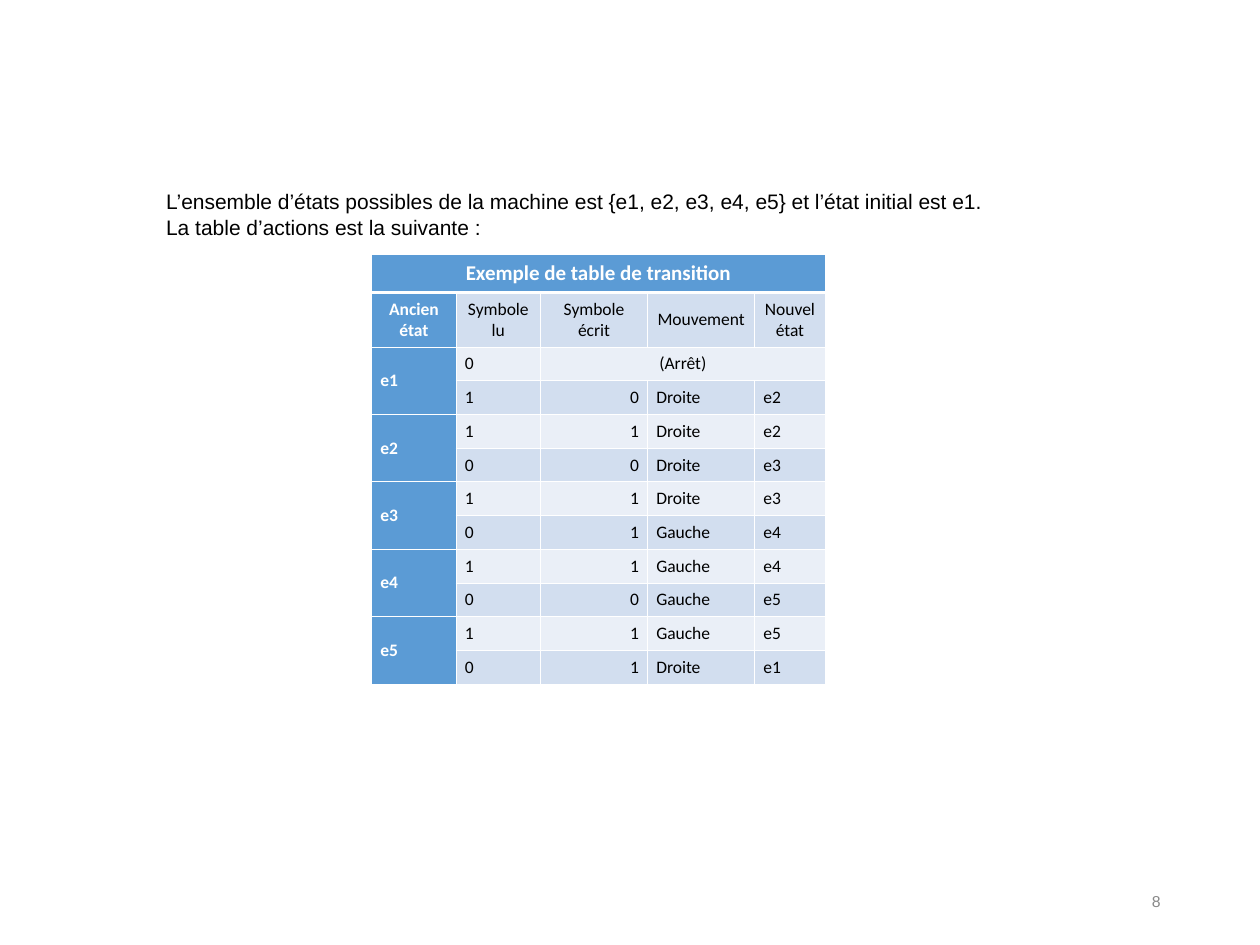
"""Build the slide showing the transition table of a five-state machine."""

from typing import NamedTuple

from lxml.etree import SubElement
from pptx import Presentation
from pptx.dml.color import RGBColor
from pptx.enum.text import MSO_ANCHOR as Anchor, PP_ALIGN as Align
from pptx.oxml.ns import qn
from pptx.util import Inches, Pt

COLORS = {
    "accent": "5B9BD5",
    "dark_band": "D2DEEF",
    "light_band": "EAEFF7",
    "white": "FFFFFF",
    "black": "000000",
    "gray": "898989",
}
COLUMN_WIDTHS = [0.67, 0.67, 0.85, 0.85, 0.56]
ROW_HEIGHTS = [0.22, 0.36] + [0.22] * 10
THIN, THICK = 0.45, 1.47


class TextStyle(NamedTuple):
    size: float
    color: str = "black"
    bold: bool = False
    align: Align = Align.LEFT
    font: str = "Calibri"


class Label(NamedTuple):
    text: str
    left: float
    top: float
    width: float
    height: float
    style: TextStyle


class Transition(NamedTuple):
    state: str
    read: str
    written: str
    move: str = ""
    next_state: str = ""


TITLE = TextStyle(12, "white", True, Align.CENTER)
HEADING = TextStyle(10, align=Align.CENTER)
STATE_HEADING = TextStyle(10, "white", True, Align.CENTER)
STATE = TextStyle(10, "white", True)
ENTRY = TextStyle(10)
NUMBER = TextStyle(10, align=Align.RIGHT)

LABELS = [
    Label("8", 7.06, 6.95, 2.25, 0.4, TextStyle(9, "gray", align=Align.RIGHT, font="Arial")),
    Label(
        "L’ensemble d’états possibles de la machine est {e1, e2, e3, e4, e5} et l’état initial est e1.\v"
        "La table d’actions est la suivante :",
        1.22, 1.45, 7.24, 0.5, TextStyle(12, font="Arial"),
    ),
]
HEADINGS = ["Ancien état", "Symbole lu", "Symbole écrit", "Mouvement", "Nouvel état"]
TRANSITIONS = [
    Transition("e1", "0", "(Arrêt)"),
    Transition("e1", "1", "0", "Droite", "e2"),
    Transition("e2", "1", "1", "Droite", "e2"),
    Transition("e2", "0", "0", "Droite", "e3"),
    Transition("e3", "1", "1", "Droite", "e3"),
    Transition("e3", "0", "1", "Gauche", "e4"),
    Transition("e4", "1", "1", "Gauche", "e4"),
    Transition("e4", "0", "0", "Gauche", "e5"),
    Transition("e5", "1", "1", "Gauche", "e5"),
    Transition("e5", "0", "1", "Droite", "e1"),
]


def write_text(frame, text: str, style: TextStyle) -> None:
    para = frame.paragraphs[0]
    para.text = text
    para.alignment = style.align
    formats = {"name": style.font, "size": Pt(style.size), "bold": style.bold}
    for span in para.runs:
        for name, value in formats.items():
            setattr(span.font, name, value)
        span.font.color.rgb = RGBColor.from_string(COLORS[style.color])


def add_label(page, label: Label) -> None:
    box = page.shapes.add_textbox(
        Inches(label.left), Inches(label.top), Inches(label.width), Inches(label.height)
    )
    box.text_frame.word_wrap = True
    box.text_frame.vertical_anchor = Anchor.MIDDLE
    write_text(box.text_frame, label.text, label.style)


def add_borders(cell, row: int) -> None:
    widths = {
        "L": THIN,
        "R": THIN,
        "T": THICK if row == 1 else THIN,
        "B": THICK if row == 0 else THIN,
    }
    properties = cell._tc.get_or_add_tcPr()
    for side, width in widths.items():
        line = SubElement(properties, qn(f"a:ln{side}"), w=str(Pt(width)))
        fill = SubElement(line, qn("a:solidFill"))
        SubElement(fill, qn("a:srgbClr"), val=COLORS["white"])


def format_cell(cell, row: int, column: int) -> None:
    add_borders(cell, row)
    formats = {
        "margin_left": Inches(0.07),
        "margin_right": Inches(0.07),
        "vertical_anchor": Anchor.MIDDLE,
    }
    for name, value in formats.items():
        setattr(cell, name, value)
    band = "dark_band" if row % 2 else "light_band"
    cell.fill.solid()
    cell.fill.fore_color.rgb = RGBColor.from_string(
        COLORS["accent" if row == 0 or column == 0 else band]
    )


def add_transition_table(page) -> None:
    table = page.shapes.add_table(
        len(ROW_HEIGHTS), len(COLUMN_WIDTHS), Inches(2.95), Inches(2.02),
        Inches(sum(COLUMN_WIDTHS)), Inches(sum(ROW_HEIGHTS)),
    ).table
    for column, width in zip(table.columns, COLUMN_WIDTHS):
        column.width = Inches(width)
    for row, height in zip(table.rows, ROW_HEIGHTS):
        row.height = Inches(height)
    for row in range(len(ROW_HEIGHTS)):
        for column in range(len(COLUMN_WIDTHS)):
            format_cell(table.cell(row, column), row, column)

    table.cell(0, 0).merge(table.cell(0, 4))
    write_text(table.cell(0, 0).text_frame, "Exemple de table de transition", TITLE)
    for column, heading in enumerate(HEADINGS):
        style = HEADING if column else STATE_HEADING
        write_text(table.cell(1, column).text_frame, heading, style)

    for row, transition in enumerate(TRANSITIONS, start=2):
        halts = not transition.move
        if row % 2 == 0:
            table.cell(row, 0).merge(table.cell(row + 1, 0))
        if halts:
            table.cell(row, 2).merge(table.cell(row, 4))
        styles = [STATE, ENTRY, HEADING if halts else NUMBER, ENTRY, ENTRY]
        for column, (text, style) in enumerate(zip(transition, styles)):
            cell = table.cell(row, column)
            if not cell.is_spanned:
                write_text(cell.text_frame, text, style)


def main() -> None:
    deck = Presentation()
    deck.slide_width, deck.slide_height = Inches(10), Inches(7.5)
    page = deck.slides.add_slide(deck.slide_layouts[6])
    number, introduction = LABELS
    add_label(page, number)
    add_transition_table(page)
    add_label(page, introduction)
    deck.save("out.pptx")


if __name__ == "__main__":
    main()
